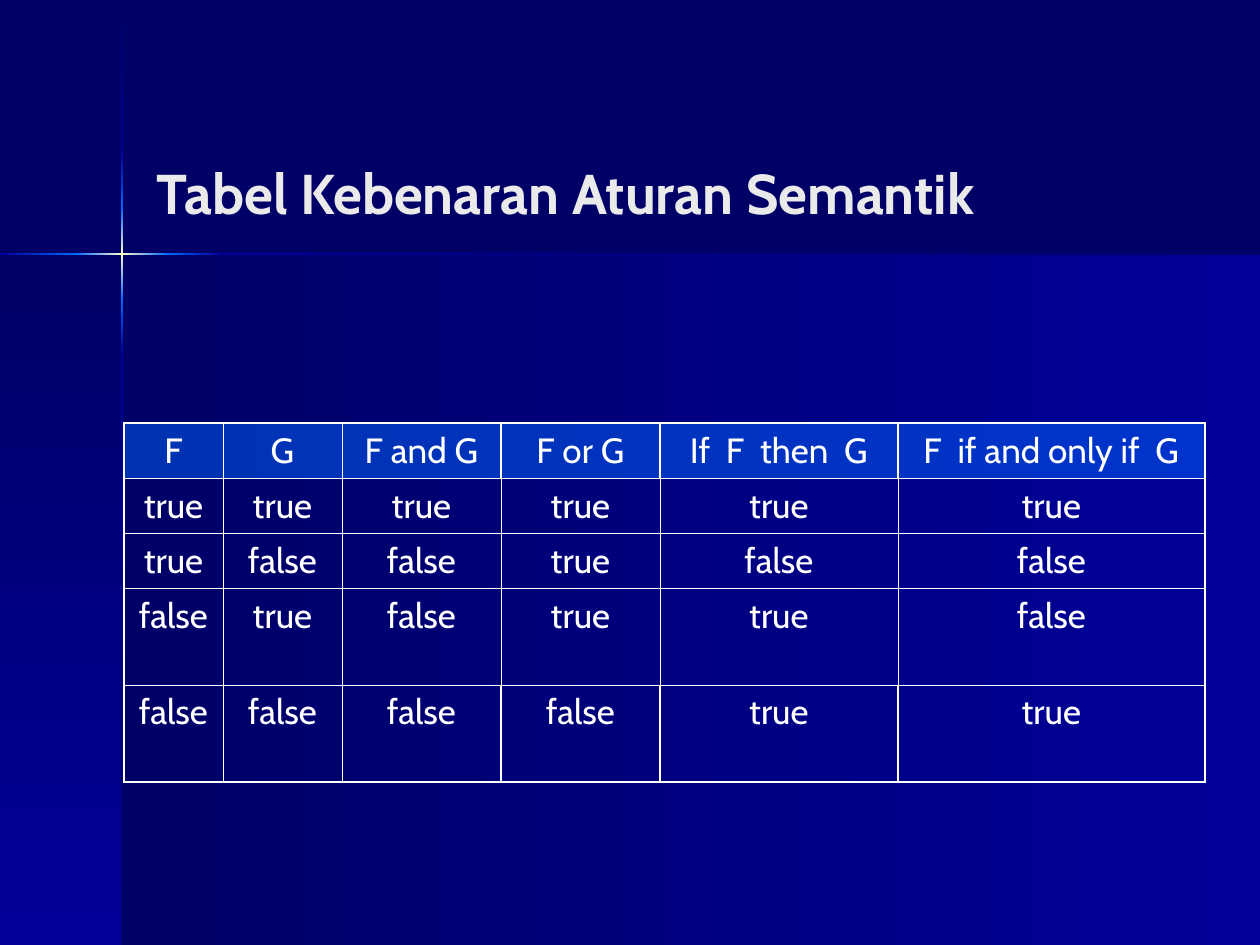
from itertools import pairwise

from lxml.etree import SubElement
from pptx import Presentation
from pptx.dml.color import RGBColor
from pptx.enum.shapes import MSO_SHAPE as SHAPE
from pptx.enum.text import MSO_ANCHOR as ANCHOR, PP_ALIGN as ALIGN
from pptx.oxml.ns import qn
from pptx.util import Pt

PX = 914400 / 126
W, H = 1260, 945
NIGHT, NAVY, BLUE, CREAM, WHITE = "000066", "000099", "0066FF", "FFFFCC", "FFFFFF"
THIN, THICK = 0.45, 1.08
TITLE = {"name": "Cabin", "size": Pt(32), "bold": True}
CELL = {"name": "Cabin", "size": Pt(20), "bold": False}


def px(*values):
    return [round(v * PX) for v in values]


def color(value):
    return RGBColor.from_string(value)


def add_text(p, text, fmt, fill):
    r = p.add_run()
    r.text = text
    for key, value in fmt.items():
        setattr(r.font, key, value)
    r.font.color.rgb = color(fill)


def gradient_rect(s, box, stops, down):
    sp = s.shapes.add_shape(SHAPE.RECTANGLE, *px(*box))
    sp.shadow.inherit = False
    sp.line.fill.background()
    sp.fill.gradient()
    sp.fill.gradient_angle = 270 if down else 0
    gs_lst = next(sp._element.spPr.iter(qn("a:gsLst")))
    for old in list(gs_lst):
        gs_lst.remove(old)
    for i, stop in enumerate(stops):
        gs = SubElement(gs_lst, qn("a:gs"), pos=str(100000 * i // (len(stops) - 1)))
        SubElement(gs, qn("a:srgbClr"), val=stop)


def beam(s, box, edges, fades, down):
    x, y, w, h = box
    for (start, end), stops in zip(pairwise(edges), fades):
        part = (x, y + start, w, end - start) if down else (x + start, y, end - start, h)
        gradient_rect(s, part, stops, down)


def backdrop(s, box, cross_x, cross_y):
    x, y, w, h = box
    gradient_rect(s, (x + cross_x, y + cross_y, w - cross_x, h - cross_y), [NIGHT, NAVY], False)
    gradient_rect(s, (x, y + cross_y, cross_x, h - cross_y), [NIGHT, NAVY], True)
    rise, glow, fall = [NAVY, BLUE], [BLUE, CREAM, BLUE], [BLUE, NAVY]
    fade_out = [NAVY, NIGHT]
    beam(s, (x + cross_x - 1, y, 2, h),
         [1, cross_y - 102, cross_y - 46, cross_y + 46, cross_y + 101, h],
         [[NIGHT, NAVY], rise, glow, fall, fade_out], True)
    beam(s, (x, y + cross_y - 1, w, 2),
         [0, cross_x - 46, cross_x + 46, cross_x + 101, w],
         [rise, glow, fall, fade_out], False)


def title(s, box, text):
    tf = s.shapes.add_textbox(*px(*box)).text_frame
    tf.word_wrap = True
    tf.vertical_anchor = ANCHOR.MIDDLE
    add_text(tf.paragraphs[0], text, TITLE, "EAEAEA")


def borders(cell, widths):
    tc_pr = cell._tc.get_or_add_tcPr()
    for side, width in zip("LRTB", widths):
        ln = SubElement(tc_pr, qn(f"a:ln{side}"), w=str(Pt(width)))
        fill = SubElement(ln, qn("a:solidFill"))
        SubElement(fill, qn("a:srgbClr"), val=WHITE)


def header_fill(cell):
    cell.fill.solid()
    cell.fill.fore_color.rgb = color(BLUE)
    fill = cell._tc.tcPr.find(qn("a:solidFill"))
    SubElement(fill[0], qn("a:alpha"), val="50000")


def truth_table(s, left, top, col_widths, row_heights, rows):
    n_rows, n_cols = len(row_heights), len(col_widths)
    box = px(left, top, sum(col_widths), sum(row_heights))
    table = s.shapes.add_table(n_rows, n_cols, *box).table
    table.first_row = table.horz_banding = False
    for col, width in zip(table.columns, px(*col_widths)):
        col.width = width
    for row, height in zip(table.rows, px(*row_heights)):
        row.height = height

    def upright(i, edge):
        outer = edge in (0, n_cols)
        return THICK if outer or (i in (0, n_rows - 1) and edge >= 3) else THIN

    def level(edge):
        return THICK if edge in (0, n_rows) else THIN

    for i, row in enumerate(rows):
        for j, text in enumerate(row):
            cell = table.cell(i, j)
            borders(cell, (upright(i, j), upright(i, j + 1), level(i), level(i + 1)))
            if i == 0:
                header_fill(cell)
            else:
                cell.fill.background()
            p = cell.text_frame.paragraphs[0]
            p.alignment = ALIGN.CENTER
            add_text(p, text, CELL, WHITE)


def main():
    prs = Presentation()
    prs.slide_width, prs.slide_height = px(W, H)
    s = prs.slides.add_slide(prs.slide_layouts[6])
    s.background.fill.solid()
    s.background.fill.fore_color.rgb = color(NIGHT)
    backdrop(s, (0, 0, W, H), 122, 254)
    title(s, (144, 155, 1040, 74), "Tabel Kebenaran Aturan Semantik")
    truth_table(s, 124, 423, [99, 119, 159, 159, 238, 307], [55, 55, 55, 97, 97], [
        ["F", "G", "F and G", "F or G", "If  F  then  G", "F  if and only if  G"],
        ["true", "true", "true", "true", "true", "true"],
        ["true", "false", "false", "true", "false", "false"],
        ["false", "true", "false", "true", "true", "false"],
        ["false", "false", "false", "false", "true", "true"],
    ])
    prs.save("out.pptx")


if __name__ == "__main__":
    main()
